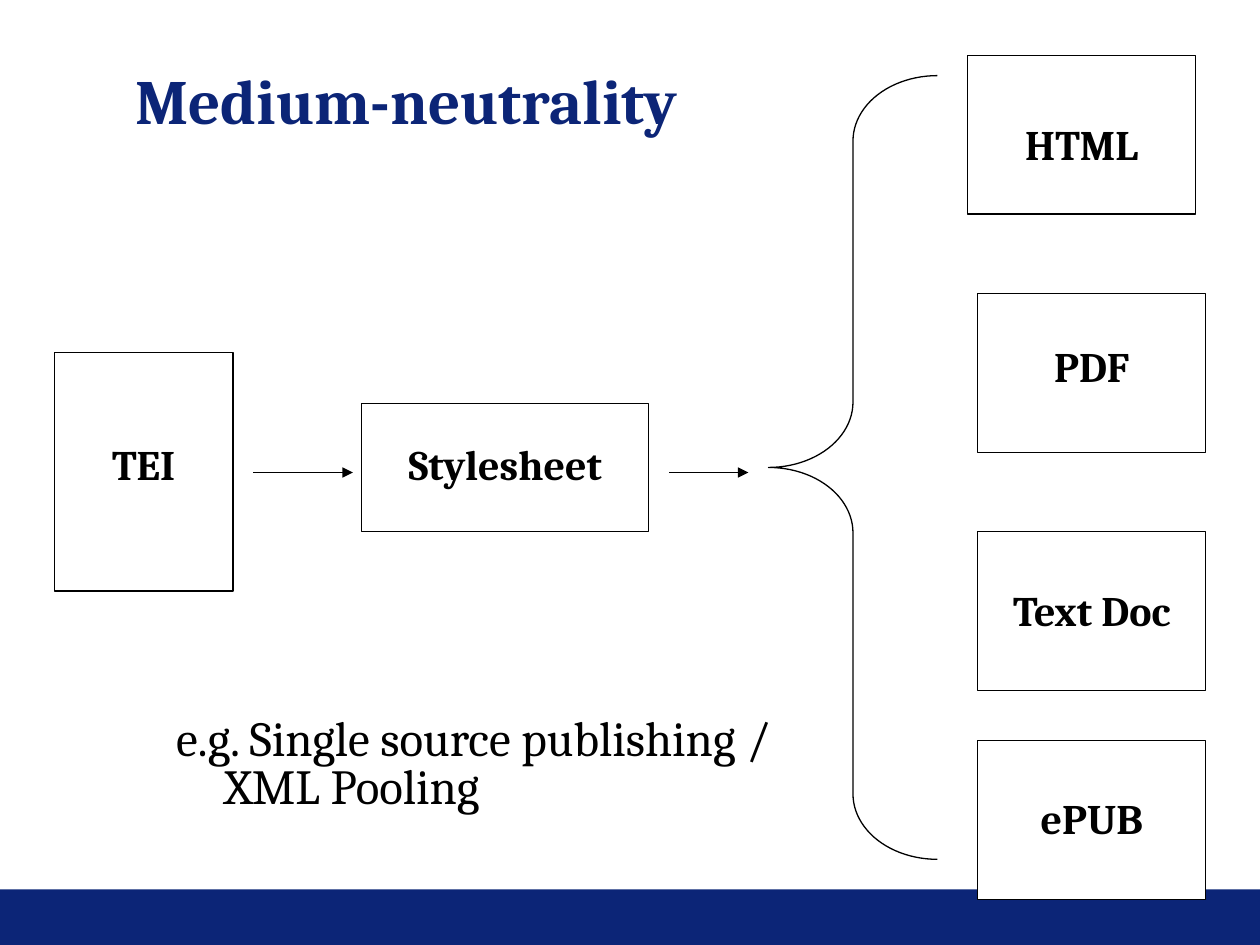
import pptx
import pptx.util
import pptx.dml.color
import pptx.enum.shapes
import pptx.enum.text
import pptx.oxml
import pptx.oxml.ns

Inches = pptx.util.Inches
ALIGN = pptx.enum.text.PP_ALIGN
SHAPE = pptx.enum.shapes.MSO_SHAPE
COLORS = {"navy": "0C2577", "black": "000000", "white": "FFFFFF"}


def rgb(name):
    """Return the named colour."""
    return pptx.dml.color.RGBColor.from_string(COLORS[name])


def write(tf, text, size=24, bold=True, color="black", align=ALIGN.CENTER, font="Cambria"):
    """Write one formatted paragraph into a text frame and return it."""
    tf.word_wrap = True
    tf.vertical_anchor = pptx.enum.text.MSO_ANCHOR.TOP
    p = tf.paragraphs[0]
    p.alignment = align
    p.space_before = pptx.util.Pt(0)
    r = p.add_run()
    r.text = text
    r.font.name = font
    r.font.size = pptx.util.Pt(size)
    r.font.bold = bold
    r.font.color.rgb = rgb(color)
    return p


class Deck:
    """Holds the line style and the current slide."""

    line_width = pptx.util.Pt(0.75)

    def __init__(self, slide):
        """Start drawing on a slide."""
        self.s = slide

    def title(self, text, x, y, w, h):
        """Place and format the title."""
        sp = self.s.shapes.title
        sp.left, sp.top, sp.width, sp.height = map(Inches, (x, y, w, h))
        write(sp.text_frame, text, size=36, color="navy")

    def shape(self, kind, x, y, w, h, fill=None, line="black"):
        """Add a preset shape."""
        sp = self.s.shapes.add_shape(kind, *map(Inches, (x, y, w, h)))
        sp.shadow.inherit = False
        if fill:
            sp.fill.solid()
            sp.fill.fore_color.rgb = rgb(fill)
        else:
            sp.fill.background()
        if line:
            sp.line.color.rgb = rgb(line)
            sp.line.width = self.line_width
        else:
            sp.line.fill.background()
        return sp

    def text(self, text, x, y, w, h, **fmt):
        """Add a text box and return its paragraph."""
        sp = self.s.shapes.add_textbox(*map(Inches, (x, y, w, h)))
        return write(sp.text_frame, text, **fmt)

    def box(self, label, x, y, w, h, label_y):
        """Add an outlined box with its label."""
        self.shape(SHAPE.RECTANGLE, x, y, w, h, fill="white")
        self.text(label, x, label_y, w, 0.5)

    def arrow(self, x1, x2, y):
        """Add a horizontal arrow."""
        straight = pptx.enum.shapes.MSO_CONNECTOR.STRAIGHT
        cn = self.s.shapes.add_connector(straight, *map(Inches, (x1, y, x2, y)))
        cn.line.color.rgb = rgb("black")
        cn.line.width = self.line_width
        ns = pptx.oxml.ns.nsdecls("a")
        cn.line._get_or_add_ln().append(
            pptx.oxml.parse_xml(f'<a:tailEnd {ns} type="triangle"/>'))
        cn._element.spPr.append(pptx.oxml.parse_xml(f"<a:effectLst {ns}/>"))


def main():
    """Build the slide."""
    prs = pptx.Presentation()
    prs.slide_width, prs.slide_height = Inches(10), Inches(7.5)
    deck = Deck(prs.slides.add_slide(prs.slide_layouts[5]))

    deck.shape(SHAPE.RECTANGLE, 0, 7.06, 10, 0.44, fill="navy", line=None)
    deck.title("Medium-neutrality", 0.35, 0.44, 5.75, 0.7)

    deck.box("TEI", 0.43, 2.8, 1.42, 1.89, 3.43)
    deck.box("Stylesheet", 2.87, 3.2, 2.28, 1.02, 3.43)
    deck.arrow(2.01, 2.8, 3.75)
    deck.arrow(5.31, 5.94, 3.75)

    brace = deck.shape(SHAPE.LEFT_BRACE, 6.1, 0.6, 1.34, 6.22)
    brace.adjustments[0], brace.adjustments[1] = 0.387, 0.5

    outputs = [("HTML", 7.68, 0.44, 0.89), ("PDF", 7.76, 2.33, 2.65),
               ("Text Doc", 7.76, 4.22, 4.59), ("ePUB", 7.76, 5.88, 6.24)]
    for label, x, y, label_y in outputs:
        deck.box(label, x, y, 1.81, 1.26, label_y)

    p = deck.text("e.g. Single source publishing / XML Pooling", 1.3, 5.66, 5.04, 1.35,
                  size=28, bold=False, align=ALIGN.LEFT)
    p.line_spacing = 0.8
    pPr = p._p.get_or_add_pPr()
    pPr.set("marL", str(Inches(0.38)))
    pPr.set("indent", str(-Inches(0.38)))

    prs.save("out.pptx")


if __name__ == "__main__":
    main()
